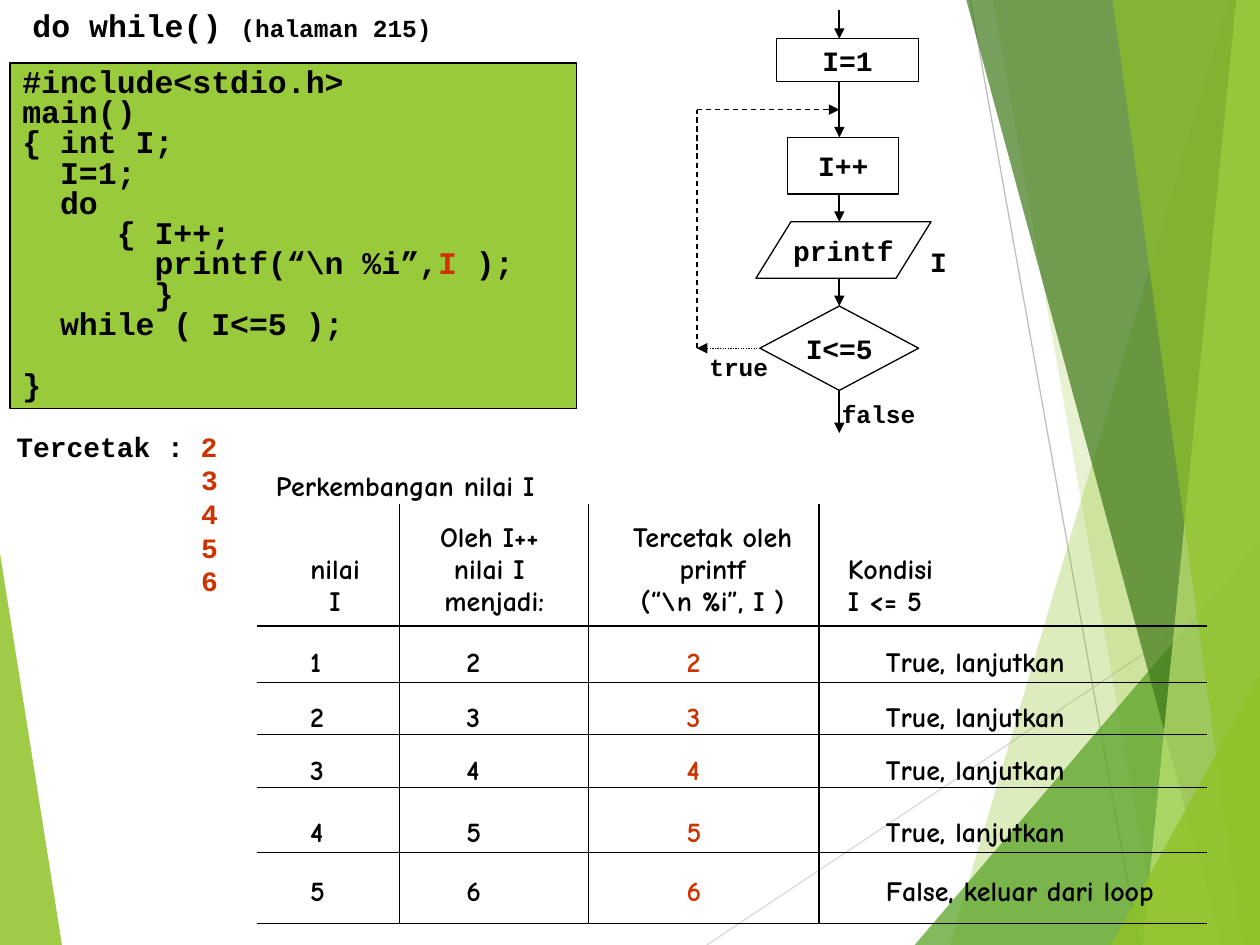
from lxml.etree import SubElement
from pptx import Presentation
from pptx.dml.color import RGBColor
from pptx.enum.dml import MSO_LINE_DASH_STYLE as Dash
from pptx.enum.shapes import MSO_CONNECTOR as Connector, MSO_SHAPE as Preset
from pptx.enum.text import MSO_ANCHOR as Anchor, PP_ALIGN as Align
from pptx.oxml.ns import qn
from pptx.util import Cm, Pt

COLORS = {
    "black": "000000", "red": "CC3300", "panel": "99CA3C", "lime": "90C226",
    "green": "54A021", "forest": "3F7819", "pale": "C0E474",
    "light_gray": "D9D9D9", "gray": "BFBFBF",
}
CODE_FONT, TABLE_FONT = "Courier New", "Comic Neue"
WIDTH, HEIGHT = 25.4, 19.05


def rgb(name):
    return RGBColor.from_string(COLORS[name])


def style_run(run, size, font, color="black"):
    run.font.size, run.font.name, run.font.bold = Pt(size), font, True
    run.font.color.rgb = rgb(color)


def write_lines(text_frame, lines, size, font=CODE_FONT, align=Align.LEFT, spacing=None):
    for index, (indent, parts) in enumerate(lines):
        paragraph = text_frame.paragraphs[0] if index == 0 else text_frame.add_paragraph()
        paragraph.alignment = align
        if spacing:
            paragraph.line_spacing = spacing
        if indent:
            properties = paragraph._p.get_or_add_pPr()
            properties.set("marL", str(Pt(0.6 * size * indent)))
            properties.set("indent", "0")
        for text, color in parts:
            run = paragraph.add_run()
            run.text = text
            style_run(run, size, font, color)


def add_text(slide, left, top, width, height, lines, size, font=CODE_FONT):
    shape = slide.shapes.add_textbox(Cm(left), Cm(top), Cm(width), Cm(height))
    shape.text_frame.word_wrap = True
    write_lines(shape.text_frame, lines, size, font)


def add_line(slide, start, end, color="black", width=0.75, arrow=False, dash=None):
    line = slide.shapes.add_connector(
        Connector.STRAIGHT, Cm(start[0]), Cm(start[1]), Cm(end[0]), Cm(end[1]))
    line.line.color.rgb, line.line.width = rgb(color), Pt(width)
    if dash:
        line.line.dash_style = dash
    if arrow:
        SubElement(line.line._get_or_add_ln(), qn("a:tailEnd"), type="triangle")
    SubElement(line._element.spPr, qn("a:effectLst"))
    return line


def add_shape(slide, preset, left, top, width, height, fill=None):
    shape = slide.shapes.add_shape(preset, Cm(left), Cm(top), Cm(width), Cm(height))
    shape.shadow.inherit = False
    if fill:
        shape.fill.solid()
        shape.fill.fore_color.rgb = rgb(fill)
    else:
        shape.fill.background()
    shape.line.color.rgb, shape.line.width = rgb("black"), Pt(0.75)
    return shape


def add_facet(slide, points, color, opacity):
    corners = [(Cm(x), Cm(y)) for x, y in points]
    builder = slide.shapes.build_freeform(*corners[0])
    builder.add_line_segments(corners[1:])
    facet = builder.convert_to_shape()
    facet.shadow.inherit = False
    facet.line.fill.background()
    facet.fill.solid()
    facet.fill.fore_color.rgb = rgb(color)
    color_element = facet._element.spPr.find(qn("a:solidFill"))[0]
    SubElement(color_element, qn("a:alpha"), val=str(opacity * 1000))


def add_background(slide, width, height):
    add_facet(slide, [(0, 11.15), (1.25, height), (0, height)], "lime", 85)
    add_line(slide, (14.25, height), (width, 11.62), "light_gray")
    add_line(slide, (19.56, 0), (22.96, height), "gray")
    right_edge = [(width, height), (width, 0)]
    for top_x, bottom_x, peak, color, opacity in [
        (24.77, 19.15, None, "lime", 30), (20.02, 23.37, None, "lime", 20),
        (None, 18.44, 10.9, "green", 72), (19.48, 24.64, None, "forest", 70),
        (24.92, 23.04, None, "pale", 70), (22.43, 25.04, None, "lime", 65),
        (None, 22.4, 13.59, "lime", 80),
    ]:
        if peak:
            points = [(bottom_x, height), (width, peak), (width, height)]
        else:
            points = [(top_x, 0), (bottom_x, height)] + right_edge
        add_facet(slide, points, color, opacity)


def add_title(slide, left, top, width, height):
    title = slide.shapes.title
    title.left, title.top, title.width, title.height = Cm(left), Cm(top), Cm(width), Cm(height)
    title.text_frame.vertical_anchor = Anchor.TOP
    write_lines(title.text_frame, [(0, [("do while() ", "black"), ("(halaman 215)", "black")])], 18)
    title.text_frame.paragraphs[0].runs[1].font.size = Pt(14)


def add_code(slide, left, top, width, height):
    panel = add_shape(slide, Preset.RECTANGLE, left, top, width, height, "panel")
    panel.text_frame.vertical_anchor = Anchor.TOP
    source = [(0, "#include<stdio.h>"), (0, "main()"), (0, "{ int I;"), (2, "I=1;"), (2, "do"),
              (5, "{ I++;"), (7, "printf(“\\n %i”,"), (7, "}"), (2, "while ( I<=5 );"), (0, "}")]
    lines = [(indent, [(text, "black")]) for indent, text in source]
    lines[6][1].extend([("I ", "red"), (");", "black")])
    write_lines(panel.text_frame, lines, 18, spacing=0.8)
    panel.text_frame.paragraphs[-1].space_before = Pt(17.4)


def add_output(slide, left, top, width, height):
    lines = [(0, [("Tercetak :", "black"), (" 2", "red")])]
    lines += [(11, [(str(value), "red")]) for value in range(3, 7)]
    add_text(slide, left, top, width, height, lines, 16)


def add_flowchart(slide, left, top):
    def place(x, y):
        return left + x, top + y

    axis, loop_y, test_y = 2.87, 2.01, 6.82
    for preset, x, y, width, height, text in [
        (Preset.RECTANGLE, 1.6, 0.58, 2.87, 0.86, "I=1"),
        (Preset.RECTANGLE, 1.83, 2.57, 2.24, 1.14, "I++"),
        (Preset.FLOWCHART_DATA, 1.19, 4.27, 3.53, 1.14, "printf"),
        (Preset.FLOWCHART_DECISION, 1.27, 5.97, 3.2, 1.7, "I<=5"),
    ]:
        step = add_shape(slide, preset, *place(x, y), width, height)
        step.text_frame.word_wrap = False
        step.text_frame.vertical_anchor = Anchor.MIDDLE
        write_lines(step.text_frame, [(0, [(text, "black")])], 16, align=Align.CENTER)
    decision = step
    arrows = [add_line(slide, place(axis, start), place(axis, end), width=1, arrow=True)
              for start, end in [(0, 0.58), (1.44, 2.57), (3.71, 4.27), (5.41, 5.97), (7.67, 8.53)]]
    arrows[3].end_connect(decision, 0)
    arrows[4].begin_connect(decision, 2)
    add_line(slide, place(0, test_y), place(0, loop_y), dash=Dash.DASH)
    add_line(slide, place(0, loop_y), place(axis, loop_y), arrow=True, dash=Dash.DASH)
    back = add_line(slide, place(1.27, test_y), place(0, test_y), arrow=True, dash=Dash.ROUND_DOT)
    back.begin_connect(decision, 1)
    for x, y, width, text, size in [(4.45, 4.6, 0.9, "I", 16), (2.67, 7.72, 2.1, "false", 14),
                                    (0, 6.78, 2.57, "true", 14)]:
        add_text(slide, *place(x, y), width, 0.9, [(0, [(text, "black")])], size)


def set_borders(cell, sides):
    properties = cell._tc.get_or_add_tcPr()
    for side in "LRTB":
        border = SubElement(properties, qn(f"a:ln{side}"), w=str(Pt(0.75)))
        if side in sides:
            fill = SubElement(border, qn("a:solidFill"))
            SubElement(fill, qn("a:srgbClr"), val=COLORS["black"])
        else:
            SubElement(border, qn("a:noFill"))


def add_trace_table(slide, left, top):
    add_text(slide, left + 0.13, top - 0.84, 6.2, 0.94,
             [(0, [("Perkembangan nilai I", "black")])], 16, TABLE_FONT)
    widths, heights = [2.87, 3.81, 4.65, 7.82], [2.46, 1.14, 1.04, 1.07, 1.32, 1.42]
    bottoms = [0.15, 0.06, 0, 0, 0.06, 0.3]
    header_margins = [(0.28, 0), (0, 0.18), (0.36, 0), (0.58, 0)]
    body_margins = [1.07, 1.35, 1.98, 1.35]
    rows = [["nilai\nI", "Oleh I++\nnilai I\n menjadi:", "Tercetak oleh\nprintf\n(“\\n %i”, I )",
             "Kondisi\nI <= 5"]]
    rows += [[str(value), str(value + 1), str(value + 1),
              "True, lanjutkan" if value < 5 else "False, keluar dari loop"] for value in range(1, 6)]
    table = slide.shapes.add_table(len(rows), len(widths), Cm(left), Cm(top),
                                   Cm(sum(widths)), Cm(sum(heights))).table
    table.first_row = table.horz_banding = False
    for column, width in zip(table.columns, widths):
        column.width = Cm(width)
    for r, texts in enumerate(rows):
        table.rows[r].height = Cm(heights[r])
        for c, text in enumerate(texts):
            cell = table.cell(r, c)
            margin_left, margin_right = (body_margins[c], 0) if r else header_margins[c]
            cell.margin_left, cell.margin_right = Cm(margin_left), Cm(margin_right)
            cell.margin_top, cell.margin_bottom = Cm(0), Cm(bottoms[r])
            cell.vertical_anchor = Anchor.BOTTOM
            set_borders(cell, "B" + "T" * (r > 0) + "L" * (c > 0) + "R" * (c < 3))
            cell.fill.background()
            color = "red" if r and c == 2 else "black"
            align = Align.CENTER if r == 0 and c < 3 else Align.LEFT
            lines = [(0, [(line, color)]) for line in text.split("\n")]
            write_lines(cell.text_frame, lines, 16, TABLE_FONT, align)


def main():
    presentation = Presentation()
    presentation.slide_width, presentation.slide_height = Cm(WIDTH), Cm(HEIGHT)
    slide = presentation.slides.add_slide(presentation.slide_layouts[5])
    add_background(slide, WIDTH, HEIGHT)
    add_title(slide, 0.4, 0, 9, 1.02)
    add_code(slide, 0.2, 1.27, 11.43, 6.96)
    add_output(slide, 0.08, 8.53, 4.7, 3.66)
    add_trace_table(slide, 5.18, 10.16)
    add_flowchart(slide, 14.05, 0.2)
    presentation.save("out.pptx")


if __name__ == "__main__":
    main()
